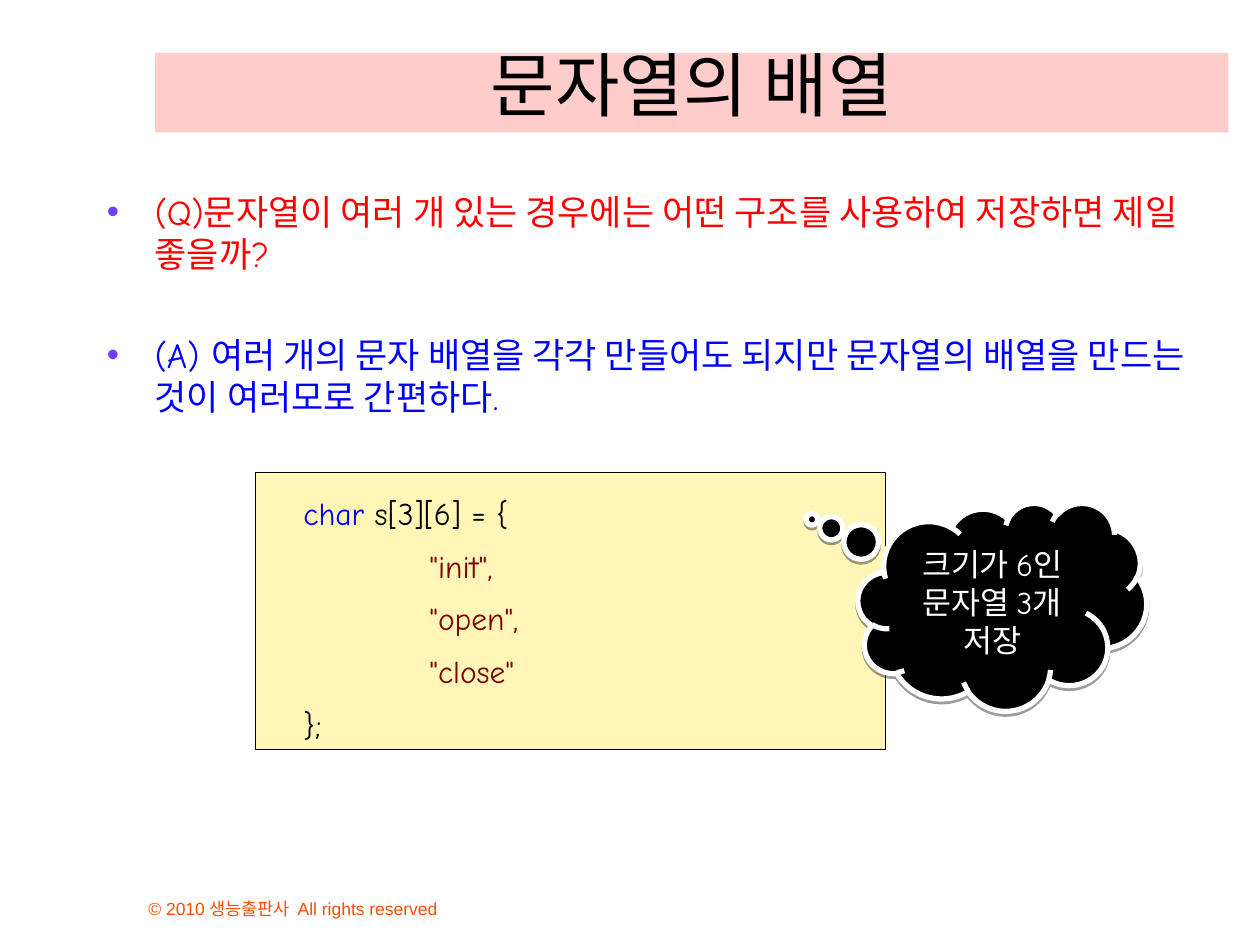
from lxml import etree
from pptx import Presentation
from pptx.dml.color import RGBColor
from pptx.enum import shapes, text
from pptx.oxml.ns import qn
from pptx.util import Inches, Pt

BLACK = RGBColor(0, 0, 0)
WHITE = RGBColor(255, 255, 255)
PINK = RGBColor(0xFF, 0xCC, 0xCC)
CREAM = RGBColor(0xFF, 0xF6, 0xB8)
RED = RGBColor(0xFF, 0, 0)
BLUE = RGBColor(0, 0, 0xFF)
MAROON = RGBColor(0x80, 0, 0)
ORANGE = RGBColor(0xFF, 0x4C, 0)
VIOLET = RGBColor(0x70, 0x3D, 0xFF)


def add_run(par, words, size, color, font="Comic Neue"):
    run = par.add_run()
    run.text = words
    run.font.size = Pt(size)
    run.font.name = font
    run.font.color.rgb = color


def add_tag(parent, tag, **attrs):
    return etree.SubElement(parent, qn(tag), attrs)


deck = Presentation()
deck.slide_width = Inches(10)
deck.slide_height = Inches(7.5)
slide = deck.slides.add_slide(deck.slide_layouts[5])

foot = slide.shapes.add_textbox(Inches(1.08), Inches(6.92), Inches(3.83), Inches(0.42))
frame = foot.text_frame
frame.word_wrap = True
frame.vertical_anchor = text.MSO_ANCHOR.BOTTOM
add_run(frame.paragraphs[0], "© 2010 생능출판사  All rights reserved", 10, ORANGE, "Arial")

title = slide.shapes.title
title.left, title.top = Inches(1.23), Inches(0.42)
title.width, title.height = Inches(8.52), Inches(0.63)
title.fill.solid()
title.fill.fore_color.rgb = PINK
frame = title.text_frame
frame.auto_size = text.MSO_AUTO_SIZE.NONE
frame.vertical_anchor = text.MSO_ANCHOR.BOTTOM
frame.paragraphs[0].alignment = text.PP_ALIGN.CENTER
add_run(frame.paragraphs[0], "문자열의 배열", 40, BLACK)

body = slide.shapes.add_textbox(Inches(0.75), Inches(1.46), Inches(8.98), Inches(4.54))
frame = body.text_frame
frame.word_wrap = True
points = [
    ("(Q)문자열이 여러 개 있는 경우에는 어떤 구조를 사용하여 저장하면 제일 좋을까?", RED),
    ("(A) 여러 개의 문자 배열을 각각 만들어도 되지만 문자열의 배열을 만드는 것이 여러모로 간편하다.", BLUE),
]
for i, (words, color) in enumerate(points):
    par = frame.add_paragraph() if i else frame.paragraphs[0]
    props = par._p.get_or_add_pPr()
    props.set("marL", str(Inches(0.38)))
    props.set("indent", str(-Inches(0.38)))
    tint = add_tag(props, "a:buClr")
    add_tag(tint, "a:srgbClr", val=str(VIOLET))
    add_tag(props, "a:buFont", typeface="Arial")
    add_tag(props, "a:buChar", char="•")
    if i:
        par.space_before = Pt(34)
    add_run(par, words, 20, color)

code = slide.shapes.add_shape(
    shapes.MSO_SHAPE.RECTANGLE, Inches(2.03), Inches(3.75), Inches(5), Inches(2.2))
code.shadow.inherit = False
code.fill.solid()
code.fill.fore_color.rgb = CREAM
code.line.color.rgb = BLACK
code.line.width = Pt(0.75)
frame = code.text_frame
frame.vertical_anchor = text.MSO_ANCHOR.TOP
lines = [
    [("char", BLUE), (" s[3][6] = {", BLACK)],
    [("\t\"init\",", MAROON)],
    [("\t\"open\",", MAROON)],
    [("\t\"close\"", MAROON)],
    [("};", BLACK)],
]
for i, line in enumerate(lines):
    par = frame.add_paragraph() if i else frame.paragraphs[0]
    props = par._p.get_or_add_pPr()
    props.set("marL", str(Inches(0.28)))
    tabs = add_tag(props, "a:tabLst")
    add_tag(tabs, "a:tab", pos=str(Inches(1)), algn="l")
    par.alignment = text.PP_ALIGN.LEFT
    par.line_spacing = 1.4
    for words, color in line:
        add_run(par, words, 18, color)

cloud = slide.shapes.add_shape(
    shapes.MSO_SHAPE.CLOUD_CALLOUT, Inches(6.81), Inches(3.99), Inches(2.29), Inches(1.65))
cloud.adjustments[0] = -0.66
cloud.adjustments[1] = -0.42
cloud.fill.solid()
cloud.fill.fore_color.rgb = BLACK
cloud.line.color.rgb = WHITE
cloud.line.width = Pt(3)
cloud.shadow.inherit = False
glow = cloud._element.spPr.find(qn("a:effectLst"))
shade = add_tag(glow, "a:outerShdw", blurRad="0", dist=str(Pt(1.6)), dir="5400000", rotWithShape="0")
tint = add_tag(shade, "a:srgbClr", val=str(BLACK))
add_tag(tint, "a:alpha", val="38000")
frame = cloud.text_frame
frame.vertical_anchor = text.MSO_ANCHOR.MIDDLE
frame.paragraphs[0].alignment = text.PP_ALIGN.CENTER
add_run(frame.paragraphs[0], "크기가 6인 문자열 3개 저장", 18, WHITE)

deck.save("out.pptx")
